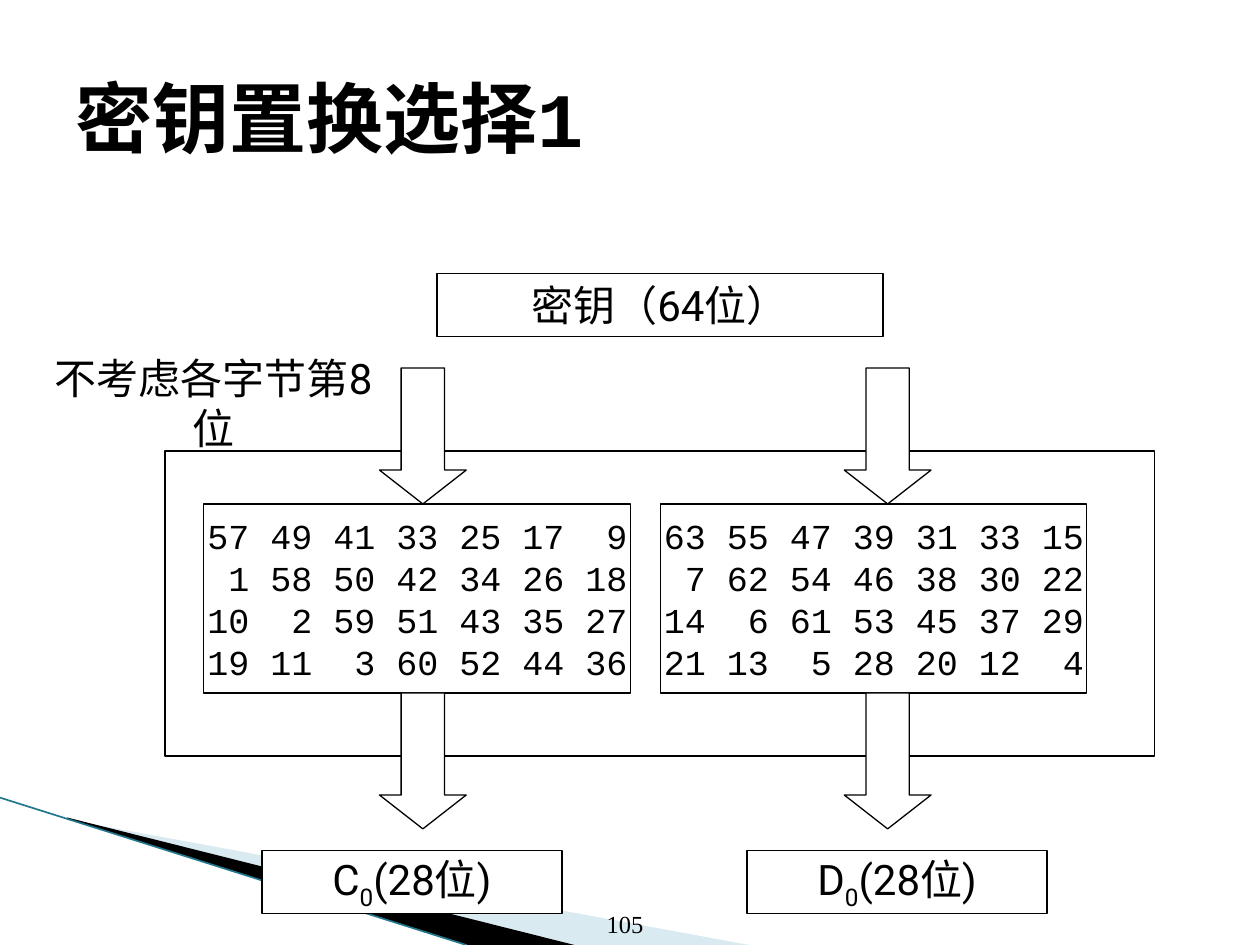
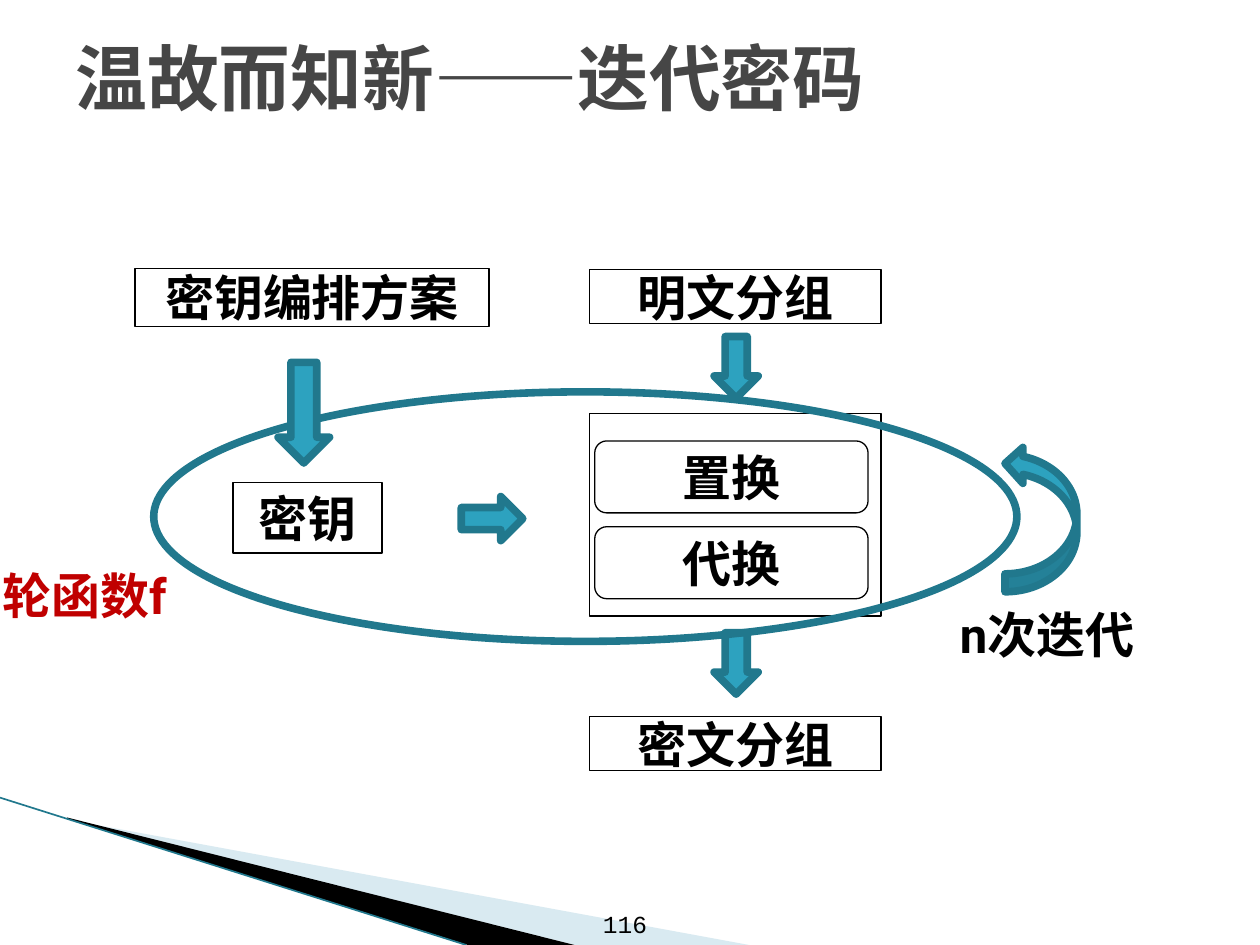
from dataclasses import dataclass
from typing import Optional

from lxml import etree
from pptx import Presentation
from pptx.dml.color import RGBColor
from pptx.enum import shapes, text as txt
from pptx.oxml import ns
from pptx.util import Cm, Pt

BLACK = RGBColor(0x00, 0x00, 0x00)
WHITE = RGBColor(0xFF, 0xFF, 0xFF)
GREY = RGBColor(0x46, 0x46, 0x46)
RED = RGBColor(0xC0, 0x00, 0x00)
TEAL = RGBColor(0x2D, 0xA2, 0xBF)
DARK_TEAL = RGBColor(0x21, 0x78, 0x8D)
PALE_BLUE = RGBColor(0xA0, 0xCB, 0xDC)

MONO, SANS, SERIF = "Courier New", "Roboto", "Times New Roman"
PRESET = shapes.MSO_SHAPE
LEFT, CENTER = txt.PP_ALIGN.LEFT, txt.PP_ALIGN.CENTER
TOP, MIDDLE, BOTTOM = txt.MSO_ANCHOR.TOP, txt.MSO_ANCHOR.MIDDLE, txt.MSO_ANCHOR.BOTTOM

FIRST_TAB, TAB_STEP = 0.92, 1.27


@dataclass(frozen=True)
class Area:
    left: float
    top: float
    width: float
    height: float

    def lengths(self) -> tuple:
        return Cm(self.left), Cm(self.top), Cm(self.width), Cm(self.height)


@dataclass(frozen=True)
class Node:
    area: Area
    label: str = ""
    preset: PRESET = PRESET.RECTANGLE


@dataclass(frozen=True)
class Arrow:
    area: Area
    preset: PRESET = PRESET.RIGHT_ARROW
    rotation: int = 0


def write(frame, text: str, *, size: float, font: str = SANS, color: RGBColor = BLACK,
          bold: bool = False, align=CENTER, anchor=MIDDLE, wrap: bool = False,
          tabs: tuple = ()) -> None:
    frame.word_wrap = wrap
    frame.vertical_anchor = anchor
    for index, line in enumerate(text.split("\n")):
        paragraph = frame.paragraphs[0] if index == 0 else frame.add_paragraph()
        paragraph.alignment = align
        if tabs:
            stops = etree.SubElement(paragraph._p.get_or_add_pPr(), ns.qn("a:tabLst"))
            for position in tabs:
                etree.SubElement(stops, ns.qn("a:tab"), pos=str(Cm(position)), algn="r")
        for part, piece in enumerate(line.split("_")):
            run = paragraph.add_run()
            run.text = piece
            run.font.size = Pt(size)
            run.font.name = font
            run.font.bold = bold
            run.font.color.rgb = color
            if part % 2:
                run.font._element.set("baseline", "-25000")


def add_text(slide, area: Area, text: str, **style) -> None:
    write(slide.shapes.add_textbox(*area.lengths()).text_frame, text, **style)


def add_figure(slide, preset, area: Area, *, fill: Optional[RGBColor] = WHITE,
               line: RGBColor = BLACK, weight: float = 0.75):
    figure = slide.shapes.add_shape(preset, *area.lengths())
    figure.shadow.inherit = False
    if fill is None:
        figure.fill.background()
    else:
        figure.fill.solid()
        figure.fill.fore_color.rgb = fill
    figure.line.color.rgb = line
    figure.line.width = Pt(weight)
    return figure


def add_node(slide, node: Node, **style) -> None:
    figure = add_figure(slide, node.preset, node.area)
    if node.label:
        write(figure.text_frame, node.label, **style)


def add_teal_arrow(slide, arrow: Arrow) -> None:
    figure = add_figure(slide, arrow.preset, arrow.area, fill=TEAL, line=DARK_TEAL, weight=4.33)
    figure.rotation = arrow.rotation


def add_number_grid(slide, area: Area, rows: tuple) -> None:
    grid = add_figure(slide, PRESET.RECTANGLE, area).text_frame
    grid.margin_left = grid.margin_right = 0
    lines = "\n".join("".join(f"\t{number}" for number in row) for row in rows)
    tabs = tuple(FIRST_TAB + TAB_STEP * column for column in range(len(rows[0])))
    write(grid, lines, size=20, font=MONO, align=LEFT, wrap=True, tabs=tabs)


def add_wedge(slide, points: tuple, color: RGBColor, opacity: int = 100) -> None:
    corners = [(Cm(x), Cm(y)) for x, y in points]
    builder = slide.shapes.build_freeform(*corners[0], scale=1.0)
    builder.add_line_segments(corners[1:], close=True)
    wedge = builder.convert_to_shape()
    wedge.shadow.inherit = False
    wedge.fill.solid()
    wedge.fill.fore_color.rgb = color
    wedge.line.fill.background()
    if opacity < 100:
        tint = wedge._element.spPr.find(".//" + ns.qn("a:srgbClr"))
        etree.SubElement(tint, ns.qn("a:alpha"), val=str(opacity * 1000))


def add_slide(deck, number: str, number_font: str):
    slide = deck.slides.add_slide(deck.slide_layouts[6])
    add_wedge(slide, ((1.4, 16.53), (15.1, 19.05), (11.58, 19.05), (1.4, 16.51)), PALE_BLUE, 40)
    add_wedge(slide, ((1.35, 16.48), (11.58, 19.05), (9.43, 19.05), (1.37, 16.51)), BLACK)
    edge = slide.shapes.add_connector(shapes.MSO_CONNECTOR.STRAIGHT,
                                      Cm(0), Cm(16.08), Cm(9.4), Cm(19.05))
    edge.line.color.rgb = DARK_TEAL
    edge.line.width = Pt(0.95)
    etree.SubElement(edge._element.spPr, ns.qn("a:effectLst"))
    add_text(slide, Area(11.89, 17.81, 1.42, 1.24), number, size=14, font=number_font,
             anchor=BOTTOM)
    return slide


def add_title(slide, title: str, top: float, height: float, **style) -> None:
    add_text(slide, Area(1.27, top, 22.86, height), title, font=MONO, bold=True,
             align=LEFT, wrap=True, **style)


def build_key_permutation(deck) -> None:
    slide = add_slide(deck, "105", SERIF)
    add_title(slide, "密钥置换选择1", 0.76, 3.18, size=44)
    add_node(slide, Node(Area(3.33, 9.09, 19.94, 6.15)))

    left_half = (
        (57, 49, 41, 33, 25, 17, 9),
        (1, 58, 50, 42, 34, 26, 18),
        (10, 2, 59, 51, 43, 35, 27),
        (19, 11, 3, 60, 52, 44, 36),
    )
    right_half = (
        (63, 55, 47, 39, 31, 33, 15),
        (7, 62, 54, 46, 38, 30, 22),
        (14, 6, 61, 53, 45, 37, 29),
        (21, 13, 5, 28, 20, 12, 4),
    )
    for left, rows in ((4.11, left_half), (13.31, right_half)):
        add_number_grid(slide, Area(left, 10.16, 8.6, 3.81), rows)

    add_text(slide, Area(0.46, 6.98, 7.7, 1.27), "不考虑各字节第8位", size=24,
             anchor=TOP, wrap=True)
    for top in (7.42, 13.97):
        for left in (7.65, 17.02):
            arrow = add_figure(slide, PRESET.DOWN_ARROW, Area(left, top, 1.75, 2.74))
            arrow.adjustments[1] = 0.39
    for node in (
        Node(Area(8.81, 5.51, 8.99, 1.27), "密钥（64位）"),
        Node(Area(5.28, 17.15, 6.05, 1.27), "C_0_(28位)"),
        Node(Area(15.06, 17.15, 6.05, 1.27), "D_0_(28位)"),
    ):
        add_node(slide, node, size=24)


def build_iterated_cipher(deck) -> None:
    slide = add_slide(deck, "116", MONO)
    add_title(slide, "温故而知新——迭代密码", 0, 3.1, size=41, color=GREY)

    for node in (
        Node(Area(11.89, 8.33, 5.87, 4.09)),
        Node(Area(11.89, 5.44, 5.87, 1.09), "明文分组"),
        Node(Area(11.89, 14.45, 5.87, 1.09), "密文分组"),
        Node(Area(11.99, 8.89, 5.51, 1.45), "置换", PRESET.ROUNDED_RECTANGLE),
        Node(Area(11.99, 10.62, 5.51, 1.45), "代换", PRESET.ROUNDED_RECTANGLE),
        Node(Area(4.7, 9.73, 3, 1.42), "密钥"),
        Node(Area(2.72, 5.41, 7.14, 1.17), "密钥编排方案"),
    ):
        add_node(slide, node, size=28, bold=True)
    add_text(slide, Area(19.1, 12.07, 4.06, 1.45), "n次迭代", size=28, bold=True,
             align=LEFT, anchor=TOP, wrap=True)

    for arrow in (
        Arrow(Area(19.51, 9.73, 2.95, 1.45), PRESET.CURVED_UP_ARROW, 270),
        Arrow(Area(9.3, 10.01, 1.24, 0.89)),
        Arrow(Area(14.22, 6.96, 1.24, 0.89), rotation=90),
        Arrow(Area(14.22, 12.93, 1.24, 0.89), rotation=90),
    ):
        add_teal_arrow(slide, arrow)
    add_figure(slide, PRESET.OVAL, Area(3.1, 7.9, 17.4, 5.03), fill=None,
               line=DARK_TEAL, weight=4.33)
    add_text(slide, Area(-0.2, 11.28, 4.32, 1.45), "轮函数f", size=28, color=RED,
             bold=True, align=LEFT, anchor=TOP, wrap=True)
    add_teal_arrow(slide, Arrow(Area(5.11, 7.8, 2.03, 1.04), rotation=90))


def main() -> None:
    deck = Presentation()
    deck.slide_width, deck.slide_height = Cm(25.4), Cm(19.05)
    build_key_permutation(deck)
    build_iterated_cipher(deck)
    deck.save("out.pptx")


if __name__ == "__main__":
    main()
